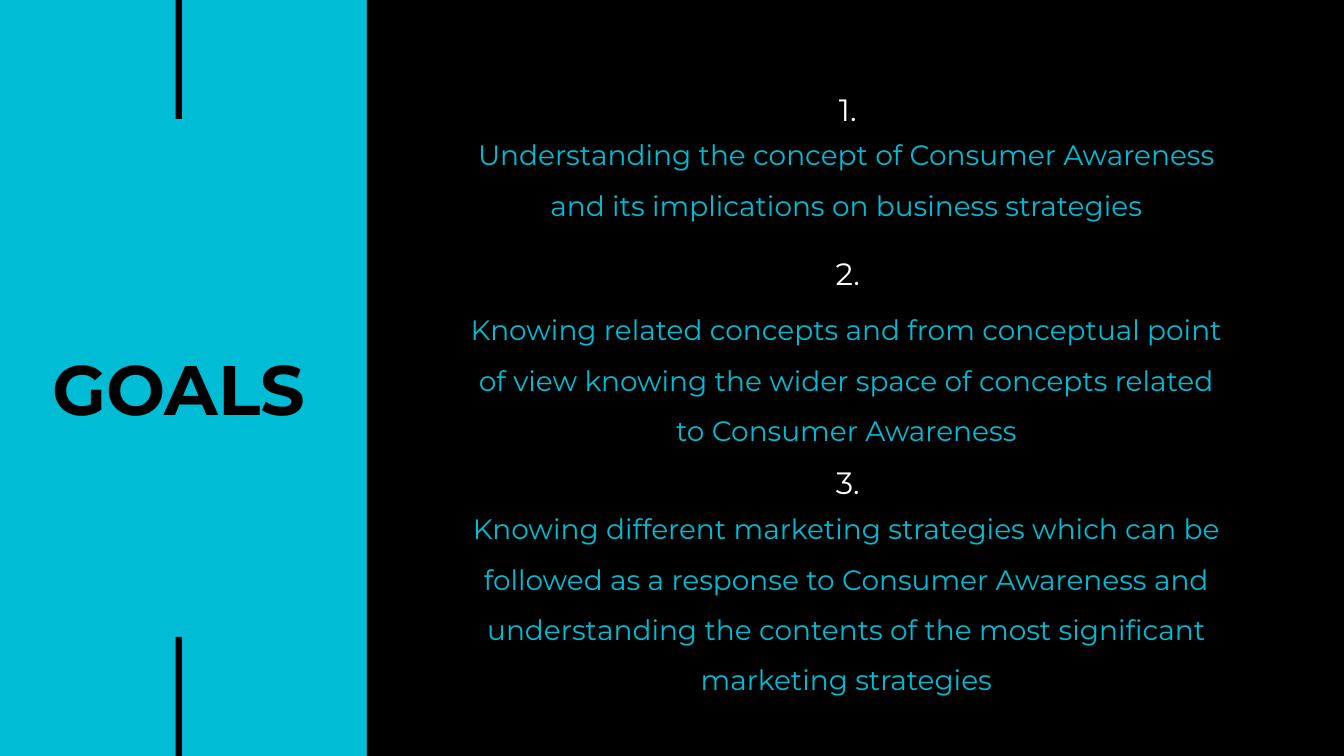
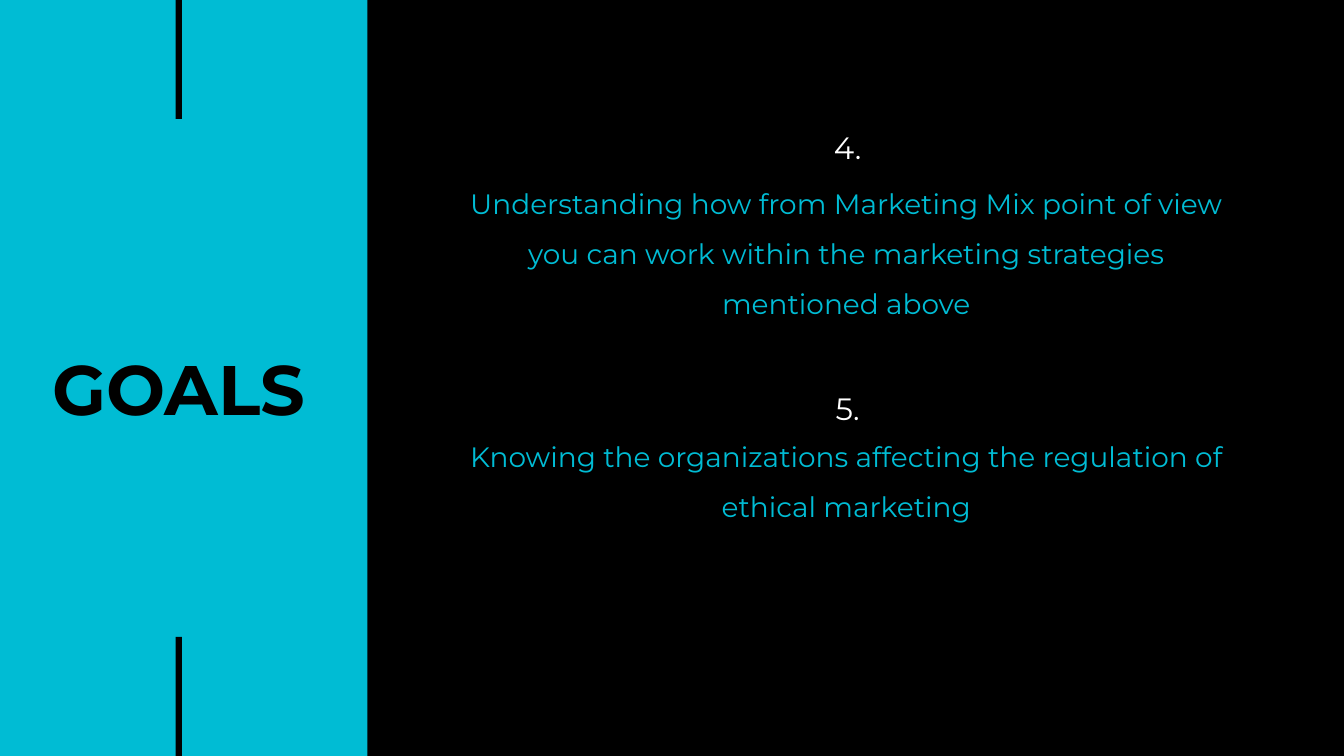
from pptx import Presentation
from pptx.dml.color import RGBColor
from pptx.enum.shapes import MSO_SHAPE
from pptx.enum.text import MSO_ANCHOR, MSO_AUTO_SIZE, PP_ALIGN
from pptx.util import Emu, Pt

EMU_PER_PX = 9525
WIDTH, HEIGHT = 1920, 1080
FONT = "Montserrat"
COLORS = {"accent": "00BCD4", "dark": "000000", "light": "FFFFFF"}

TEXT_LEFT = 660
BAR_HEIGHT = 170

SLIDES = [
    (524, [
        ("1.", 108, 173, 2,
         "Understanding the concept of Consumer Awareness "
         "and its implications on business strategies"),
        ("2.", 343, 423, 3,
         "Knowing related concepts and from conceptual point of view "
         "knowing the wider space of concepts related to Consumer Awareness"),
        ("3.", 641, 707, 4,
         "Knowing different marketing strategies which can be followed as a "
         "response to Consumer Awareness and understanding the contents of "
         "the most significant marketing strategies"),
    ]),
    (525, [
        ("4.", 163, 242, 3,
         "Understanding how from Marketing Mix point of view you can work "
         "within the marketing strategies mentioned above"),
        ("5.", 536, 604, 2,
         "Knowing the organizations affecting the regulation of "
         "ethical marketing"),
    ]),
]


def px(*lengths):
    return [Emu(n * EMU_PER_PX) for n in lengths]


def color(name):
    return RGBColor.from_string(COLORS[name])


class Deck:
    def __init__(self):
        self.prs = Presentation()
        self.prs.slide_width, self.prs.slide_height = px(WIDTH, HEIGHT)
        self.s = None

    def slide(self):
        self.s = self.prs.slides.add_slide(self.prs.slide_layouts[5])
        fill = self.s.background.fill
        fill.solid()
        fill.fore_color.rgb = color("accent")

    def set_text(self, sp, text, size, fill, spacing, bold=False):
        tf = sp.text_frame
        tf.text = text
        tf.word_wrap = True
        tf.auto_size = MSO_AUTO_SIZE.NONE
        tf.margin_left = tf.margin_top = tf.margin_right = tf.margin_bottom = 0
        p = tf.paragraphs[0]
        p.alignment = PP_ALIGN.CENTER
        p.line_spacing = spacing
        font = p.runs[0].font
        font.name, font.size, font.bold = FONT, Pt(size), bold
        font.color.rgb = color(fill)

    def title(self, text, x, y, w, h):
        sp = self.s.shapes.title
        sp.left, sp.top, sp.width, sp.height = px(x, y, w, h)
        self.set_text(sp, text, 75, "dark", 1.26, bold=True)
        sp.text_frame.vertical_anchor = MSO_ANCHOR.MIDDLE

    def rect(self, x, y, w, h):
        sp = self.s.shapes.add_shape(MSO_SHAPE.RECTANGLE, *px(x, y, w, h))
        sp.shadow.inherit = False
        sp.fill.solid()
        sp.fill.fore_color.rgb = color("dark")
        sp.line.fill.background()

    def text(self, text, x, y, w, h, **style):
        sp = self.s.shapes.add_textbox(*px(x, y, w, h))
        self.set_text(sp, text, **style)

    def goal(self, number, number_top, text_top, lines, text):
        self.text(number, TEXT_LEFT, number_top, 1102, 58,
                  size=33, fill="light", spacing=1.4)
        self.text(text, TEXT_LEFT, text_top, 1098, 61 * lines - 7,
                  size=30, fill="accent", spacing=1.5)


def main():
    deck = Deck()
    for panel_left, goals in SLIDES:
        deck.slide()
        deck.title("GOALS", -132, 412, 775, 251)
        deck.rect(panel_left, 0, 1410, HEIGHT)
        for goal in goals:
            deck.goal(*goal)
        for bar_top in (0, HEIGHT - BAR_HEIGHT):
            deck.rect(251, bar_top, 9, BAR_HEIGHT)
    deck.prs.save("out.pptx")


if __name__ == "__main__":
    main()
